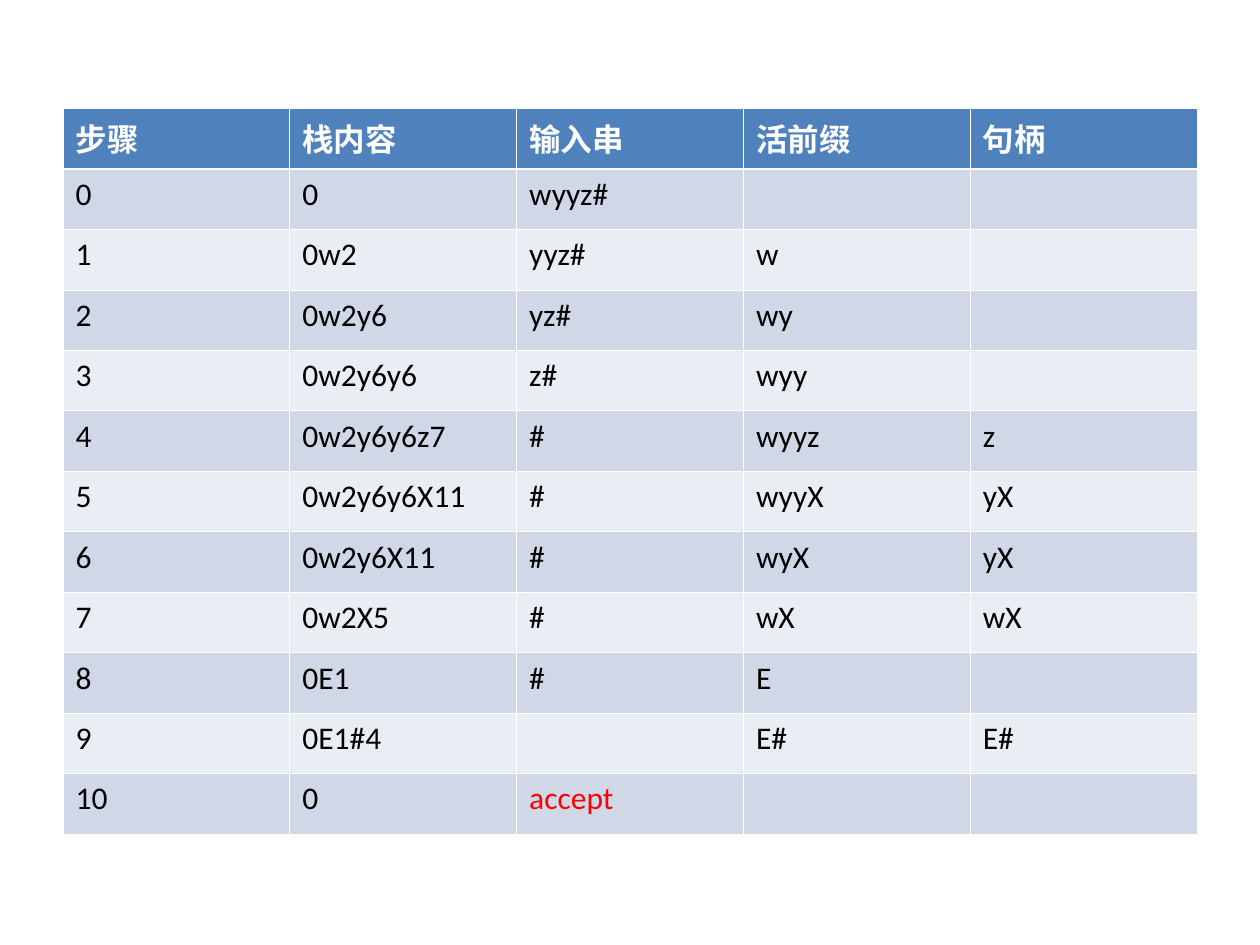
from lxml import etree
from pptx import Presentation
from pptx import util as u
from pptx.dml import color
from pptx.oxml import ns

COLORS = {
    "header": "4F81BD",
    "odd": "D0D8E8",
    "even": "E9EDF4",
    "border": "FFFFFF",
    "header_text": "FFFFFF",
    "text": "000000",
    "accept": "FF0000",
}
STEPS = [
    ("步骤", "栈内容", "输入串", "活前缀", "句柄"),
    ("0", "0", "wyyz#", "", ""),
    ("1", "0w2", "yyz#", "w", ""),
    ("2", "0w2y6", "yz#", "wy", ""),
    ("3", "0w2y6y6", "z#", "wyy", ""),
    ("4", "0w2y6y6z7", "#", "wyyz", "z"),
    ("5", "0w2y6y6X11", "#", "wyyX", "yX"),
    ("6", "0w2y6X11", "#", "wyX", "yX"),
    ("7", "0w2X5", "#", "wX", "wX"),
    ("8", "0E1", "#", "E", ""),
    ("9", "0E1#4", "", "E#", "E#"),
    ("10", "0", "accept", "", ""),
]
COLUMN_WIDTH = 129.6
ROW_HEIGHT = 34.56


def add_border(cell, side, width):
    line = etree.SubElement(cell._tc.get_or_add_tcPr(), ns.qn(f"a:ln{side}"), w=str(u.Pt(width)))
    fill = etree.SubElement(line, ns.qn("a:solidFill"))
    etree.SubElement(fill, ns.qn("a:srgbClr"), val=COLORS["border"])


deck = Presentation()
deck.slide_width = u.Pt(720)
deck.slide_height = u.Pt(540)
page = deck.slides.add_slide(deck.slide_layouts[6])

columns = len(STEPS[0])
frame = page.shapes.add_table(
    len(STEPS), columns, u.Pt(36), u.Pt(62),
    u.Pt(COLUMN_WIDTH * columns), u.Pt(ROW_HEIGHT * len(STEPS)),
)
table = frame.table
for column in table.columns:
    column.width = u.Pt(COLUMN_WIDTH)

for row_index, step in enumerate(STEPS):
    table.rows[row_index].height = u.Pt(ROW_HEIGHT)
    is_header = row_index == 0
    band = "header" if is_header else "odd" if row_index % 2 else "even"
    for column_index, label in enumerate(step):
        cell = table.cell(row_index, column_index)
        for side in "LRTB":
            heavy = (row_index, side) in ((0, "B"), (1, "T"))
            add_border(cell, side, 1.5 if heavy else 0.45)
        cell.fill.solid()
        cell.fill.fore_color.rgb = color.RGBColor.from_string(COLORS[band])
        cell.text_frame.text = label
        text_color = "header_text" if is_header else "accept" if label == "accept" else "text"
        for span in cell.text_frame.paragraphs[0].runs:
            span.font.name = "Calibri"
            span.font.size = u.Pt(18)
            span.font.bold = is_header
            span.font.color.rgb = color.RGBColor.from_string(COLORS[text_color])

deck.save("out.pptx")
